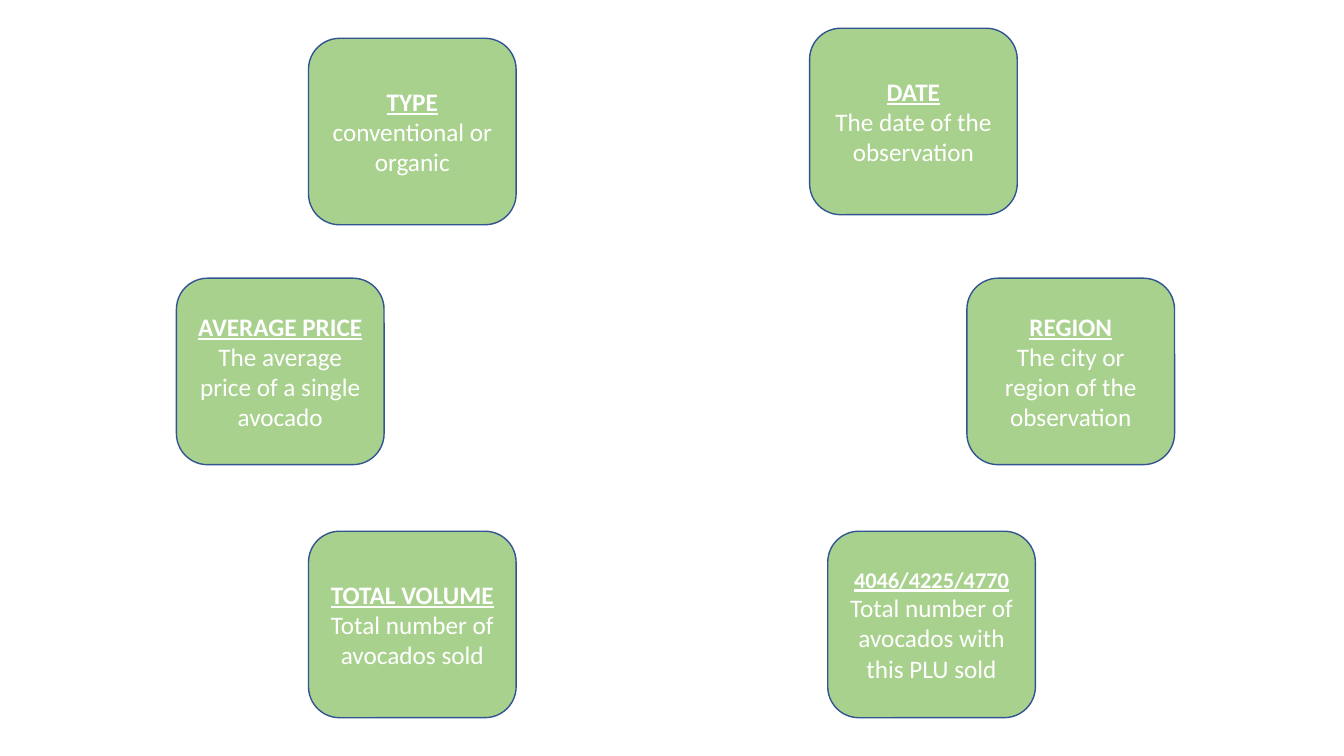
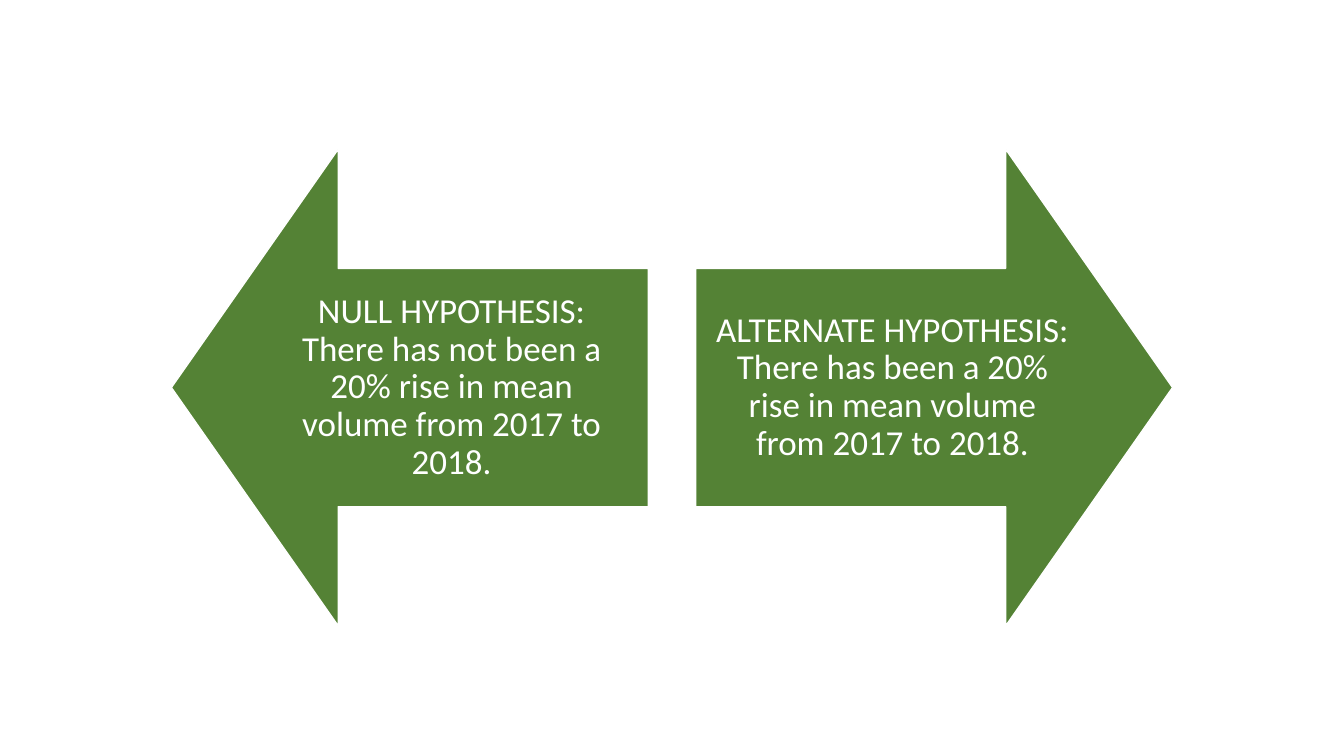
from pptx import Presentation
from pptx.dml.color import RGBColor
from pptx.enum.shapes import MSO_SHAPE
from pptx.enum.text import MSO_ANCHOR, PP_ALIGN
from pptx.util import Pt

ROUNDED = MSO_SHAPE.ROUNDED_RECTANGLE
LEFT_ARROW = MSO_SHAPE.LEFT_ARROW
RIGHT_ARROW = MSO_SHAPE.RIGHT_ARROW
CENTER = PP_ALIGN.CENTER
MIDDLE = MSO_ANCHOR.MIDDLE

EMU_PER_PX = 9144
SLIDE_WIDTH, SLIDE_HEIGHT = 1333, 750
BLANK_LAYOUT = 6

FONT = "Calibri"
WHITE = "FFFFFF"
CARD_GREEN = "A9D18E"
CARD_BORDER = "325491"
ARROW_GREEN = "548235"

CARD_WIDTH, CARD_HEIGHT = 206, 185
ARROW_SIZE, ARROW_TOP, ARROW_INSET = 473, 148, 19

VARIABLES = [
    (306, 38, "TYPE", 18, "conventional or organic"),
    (175, 276, "AVERAGE PRICE", 18, "The average price of a single avocado"),
    (306, 527, "TOTAL VOLUME", 18, "Total number of avocados sold"),
    (821, 527, "4046/4225/4770", 16, "Total number of avocados with this PLU sold"),
    (959, 276, "REGION", 18, "The city or region of the observation"),
    (803, 28, "DATE", 18, "The date of the observation"),
]

HYPOTHESES = [
    (LEFT_ARROW, 170, "NULL HYPOTHESIS: There has not been a 20% rise in mean volume from 2017 to 2018."),
    (RIGHT_ARROW, 690, "ALTERNATE HYPOTHESIS: There has been a 20% rise in mean volume from 2017 to 2018."),
]


def px(length):
    return length * EMU_PER_PX


def color(value):
    return RGBColor.from_string(value)


def add_block(slide, preset, left, top, width, height, fill, border):
    block = slide.shapes.add_shape(preset, px(left), px(top), px(width), px(height))
    block.shadow.inherit = False
    block.fill.solid()
    block.fill.fore_color.rgb = color(fill)
    block.line.color.rgb = color(border)
    block.line.width = Pt(1)
    block.text_frame.word_wrap = True
    block.text_frame.vertical_anchor = MIDDLE
    return block


def write(paragraph, text, size=18, bold=False, underline=False, spacing=1.0):
    paragraph.alignment = CENTER
    paragraph.line_spacing = spacing
    run = paragraph.add_run()
    run.text = text
    run.font.name = FONT
    run.font.size = Pt(size)
    run.font.bold = bold
    run.font.underline = underline
    run.font.color.rgb = color(WHITE)


def add_variable_card(slide, left, top, heading, heading_size, description):
    card = add_block(slide, ROUNDED, left, top, CARD_WIDTH, CARD_HEIGHT, CARD_GREEN, CARD_BORDER)
    frame = card.text_frame
    write(frame.paragraphs[0], heading, size=heading_size, bold=True, underline=True)
    write(frame.add_paragraph(), description)


def add_hypothesis_arrow(slide, preset, left, statement):
    arrow = add_block(slide, preset, left, ARROW_TOP, ARROW_SIZE, ARROW_SIZE, ARROW_GREEN, WHITE)
    arrow.adjustments[0] = 0.5
    arrow.adjustments[1] = 0.35
    frame = arrow.text_frame
    frame.margin_left = frame.margin_right = px(ARROW_INSET)
    frame.margin_top = frame.margin_bottom = px(ARROW_INSET)
    write(frame.paragraphs[0], statement, size=25, spacing=0.9)


def main():
    deck = Presentation()
    deck.slide_width = px(SLIDE_WIDTH)
    deck.slide_height = px(SLIDE_HEIGHT)
    layout = deck.slide_layouts[BLANK_LAYOUT]

    variables_slide = deck.slides.add_slide(layout)
    for variable in VARIABLES:
        add_variable_card(variables_slide, *variable)

    hypotheses_slide = deck.slides.add_slide(layout)
    for hypothesis in HYPOTHESES:
        add_hypothesis_arrow(hypotheses_slide, *hypothesis)

    deck.save("out.pptx")


if __name__ == "__main__":
    main()
